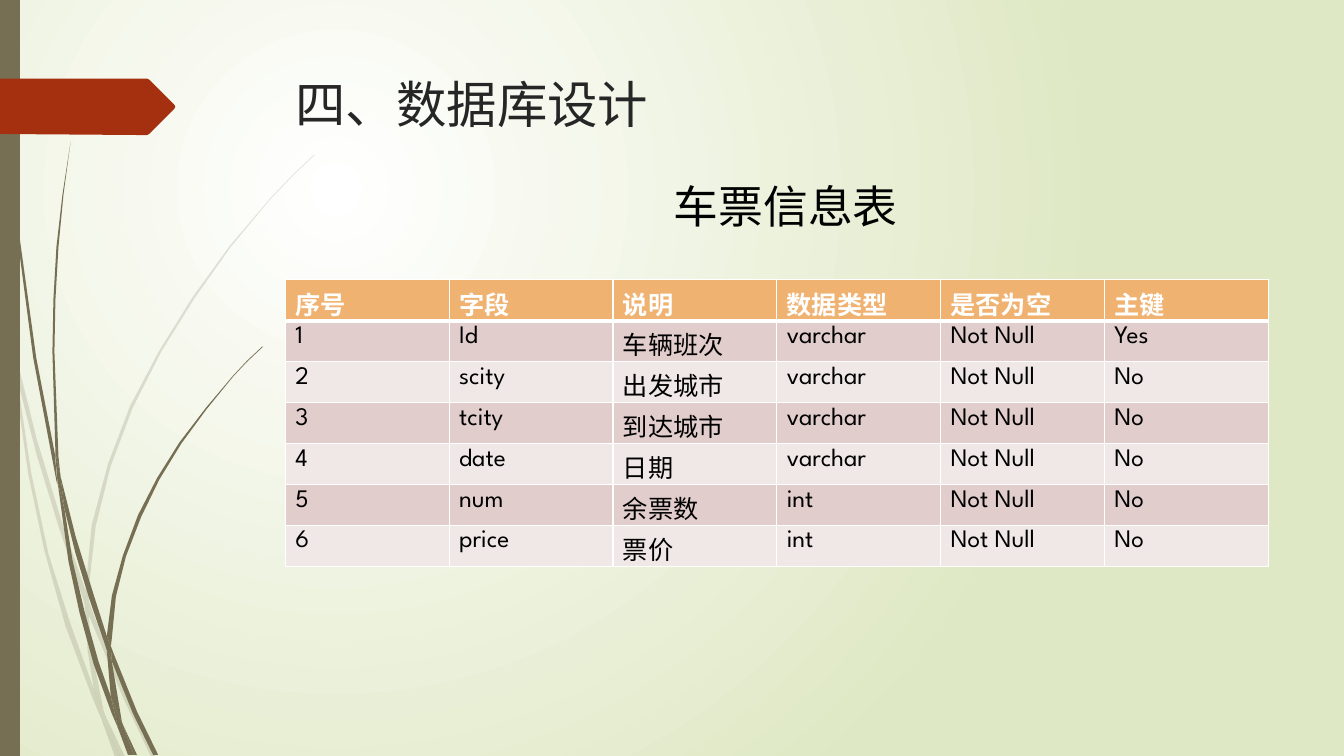
import pptx
import pptx.util
import pptx.oxml
import pptx.oxml.ns
import pptx.dml.color
import pptx.enum.text

Cm = pptx.util.Cm
Pt = pptx.util.Pt
RGB = pptx.dml.color.RGBColor
Align = pptx.enum.text.PP_ALIGN

OLIVE = RGB(0x76, 0x6F, 0x54)
RUST = RGB(0xA5, 0x30, 0x10)
LIME = RGB(0xDF, 0xE8, 0xC4)
AMBER = RGB(0xF0, 0xB2, 0x70)
ROSE = RGB(0xE1, 0xCD, 0xCC)
BLUSH = RGB(0xF0, 0xE8, 0xE7)
WHITE = RGB(0xFF, 0xFF, 0xFF)
BLACK = RGB(0, 0, 0)
INK = RGB(0x26, 0x26, 0x26)

FACE = "League Spartan"
TITLE = {"name": FACE, "size": Pt(36), "color": INK}
LABEL = {"name": FACE, "size": Pt(32), "color": BLACK}
HEAD = {"name": FACE, "size": Pt(18), "color": WHITE, "bold": True}
BODY = {"name": FACE, "size": Pt(18), "color": BLACK, "bold": False}

# Outlines as x, y pairs on a grid of 0.0254 cm
GRID = Cm(0.0254)
PALE = [
    (11, 350, 9, 322, 0, 282, 0, 299, 10, 344),
    (58, 522, 84, 599, 85, 586, 62, 520, 36, 434, 14, 345, 17, 376, 36, 450),
    (92, 607, 88, 596, 88, 610, 123, 694, 150, 751, 155, 751, 127, 692, 108, 650),
    (119, 751, 124, 751, 105, 711),
    (93, 683, 70, 619, 48, 549, 31, 469, 17, 376, 11, 350, 28, 470, 44, 546,
     65, 621, 92, 693, 101, 714, 99, 707),
    (84, 599, 87, 646, 93, 683, 96, 692, 105, 711, 103, 706, 91, 646, 88, 610,
     88, 608),
    (88, 584, 95, 522, 110, 462, 132, 404, 160, 349, 193, 296, 229, 245, 268, 198,
     290, 175, 312, 154, 312, 153, 289, 175, 268, 197, 228, 244, 191, 295,
     158, 348, 129, 403, 107, 461, 91, 521, 85, 584, 85, 586, 88, 596),
    (101, 714, 114, 751, 119, 751),
    (88, 608, 88, 610, 88, 596, 85, 586, 84, 599),
    (96, 692, 93, 683, 99, 707, 101, 714, 119, 751, 105, 711),
]
DARK = [
    (7, 110, 17, 233, 33, 355, 56, 477, 57, 481, 55, 457, 55, 453, 36, 355,
     19, 232, 8, 109, 5, 48, 4, 0, 3, 0, 4, 48),
    (88, 592, 106, 645, 106, 633, 106, 631, 93, 590, 75, 532, 60, 472, 64, 505,
     75, 549),
    (113, 649, 110, 641, 111, 656, 132, 708, 152, 749, 157, 749, 136, 706),
    (110, 691, 98, 657, 84, 607, 72, 556, 64, 505, 57, 477, 68, 557, 79, 608,
     93, 659, 111, 708, 117, 722, 116, 717),
    (60, 472, 58, 453, 54, 349, 55, 297, 58, 245, 63, 193, 70, 141, 62, 193,
     56, 245, 53, 297, 52, 349, 55, 449),
    (133, 749, 136, 749, 122, 719),
    (57, 477, 64, 505, 60, 472, 55, 449, 55, 453),
    (111, 633, 115, 592, 125, 552, 140, 513, 158, 476, 180, 440, 205, 406,
     231, 374, 245, 359, 261, 344, 260, 344, 245, 358, 231, 373, 204, 405,
     178, 439, 156, 474, 137, 511, 122, 551, 111, 591, 106, 631, 110, 641),
    (117, 722, 127, 749, 131, 749),
    (106, 645, 110, 691, 116, 706, 122, 719, 121, 716, 111, 656, 109, 651),
    (106, 645, 109, 651, 111, 656, 110, 641, 106, 631, 106, 633),
    (116, 706, 110, 691, 116, 717, 117, 722, 130, 749, 133, 749, 122, 719),
]
BAR = (0, 0, 20, 0, 20, 750, 0, 750)
FLAG = (173, 108, 148, 133, 146, 134, 136, 134, 0, 133, 0, 78, 136, 78,
        146, 78, 148, 79, 173, 104, 174, 106)

HEADS = ["序号", "字段", "说明", "数据类型", "是否为空", "主键"]
FIELDS = [
    ("Id", "车辆班次", "varchar", "Yes"),
    ("scity", "出发城市", "varchar", "No"),
    ("tcity", "到达城市", "varchar", "No"),
    ("date", "日期", "varchar", "No"),
    ("num", "余票数", "int", "No"),
    ("price", "票价", "int", "No"),
]


def add_tag(parent, tag, **attrs):
    node = pptx.oxml.parse_xml(f"<{tag} {pptx.oxml.ns.nsdecls('a')}/>")
    for key, val in attrs.items():
        node.set(key, str(val))
    parent.append(node)
    return node


def set_font(font, style):
    for key, val in style.items():
        if key == "color":
            font.color.rgb = val
        else:
            setattr(font, key, val)


def write(frame, text, style, align=Align.LEFT):
    para = frame.paragraphs[0]
    para.alignment = align
    run = para.add_run()
    run.text = text
    set_font(run.font, style)


def add_back(slide):
    fill = slide.background.fill
    fill.gradient()
    for stop, color in zip(fill.gradient_stops, (WHITE, LIME)):
        stop.color.rgb = color
    grad = slide.element.xpath(".//a:gradFill")[0]
    for line in grad.xpath("a:lin"):
        grad.remove(line)
    ring = add_tag(grad, "a:path", path="circle")
    add_tag(ring, "a:fillToRect", l=50000, t=50000, r=100000, b=100000)


def add_form(shapes, flat, color, alpha=100):
    dots = list(zip(flat[::2], flat[1::2]))
    pen = shapes.build_freeform(*dots[0], scale=GRID)
    pen.add_line_segments(dots[1:], close=True)
    form = pen.convert_to_shape()
    form.shadow.inherit = False
    form.fill.solid()
    form.fill.fore_color.rgb = color
    form.line.fill.background()
    if alpha < 100:
        tint = form.element.xpath("./p:spPr/a:solidFill/a:srgbClr")[0]
        add_tag(tint, "a:alpha", val=alpha * 1000)


def add_grass(slide, blades, alpha):
    group = slide.shapes.add_group_shape()
    for blade in blades:
        add_form(group.shapes, blade, OLIVE, alpha)


def add_text(slide, box, text, style, align=Align.LEFT):
    frame = slide.shapes.add_textbox(*map(Cm, box)).text_frame
    frame.word_wrap = True
    write(frame, text, style, align)


def add_edge(cell, side, width):
    edge = add_tag(cell._tc.get_or_add_tcPr(), f"a:ln{side}", w=Pt(width))
    add_tag(add_tag(edge, "a:solidFill"), "a:srgbClr", val=WHITE)


def add_grid(slide, rows, box):
    table = slide.shapes.add_table(len(rows), len(rows[0]), *map(Cm, box)).table
    for r, row in enumerate(rows):
        for c, text in enumerate(row):
            cell = table.cell(r, c)
            # Borders come before the fill in the cell's properties
            for side in "LRTB":
                thick = (r == 0 and side == "B") or (r == 1 and side == "T")
                add_edge(cell, side, 3 if thick else 1)
            cell.fill.solid()
            cell.fill.fore_color.rgb = (BLUSH, ROSE)[r % 2] if r else AMBER
            write(cell.text_frame, text, BODY if r else HEAD)


def main():
    deck = pptx.Presentation()
    deck.slide_width, deck.slide_height = Cm(33.87), Cm(19.05)
    slide = deck.slides.add_slide(deck.slide_layouts[6])

    # Backdrop
    add_back(slide)
    add_grass(slide, PALE, 20)
    add_grass(slide, DARK, 100)
    add_form(slide.shapes, BAR, OLIVE)
    add_form(slide.shapes, FLAG, RUST)

    # Title, table and its label
    add_text(slide, (7.2, 1.73, 24.77, 2.13), "四、数据库设计", TITLE)
    rows = [HEADS]
    for num, (name, note, kind, key) in enumerate(FIELDS, 1):
        rows.append((str(num), name, note, kind, "Not Null", key))
    add_grid(slide, rows, (7.19, 7.05, 24.77, 7.22))
    add_text(slide, (7.42, 4.37, 24.77, 1.62), "车票信息表", LABEL, Align.CENTER)

    deck.save("out.pptx")


if __name__ == "__main__":
    main()
